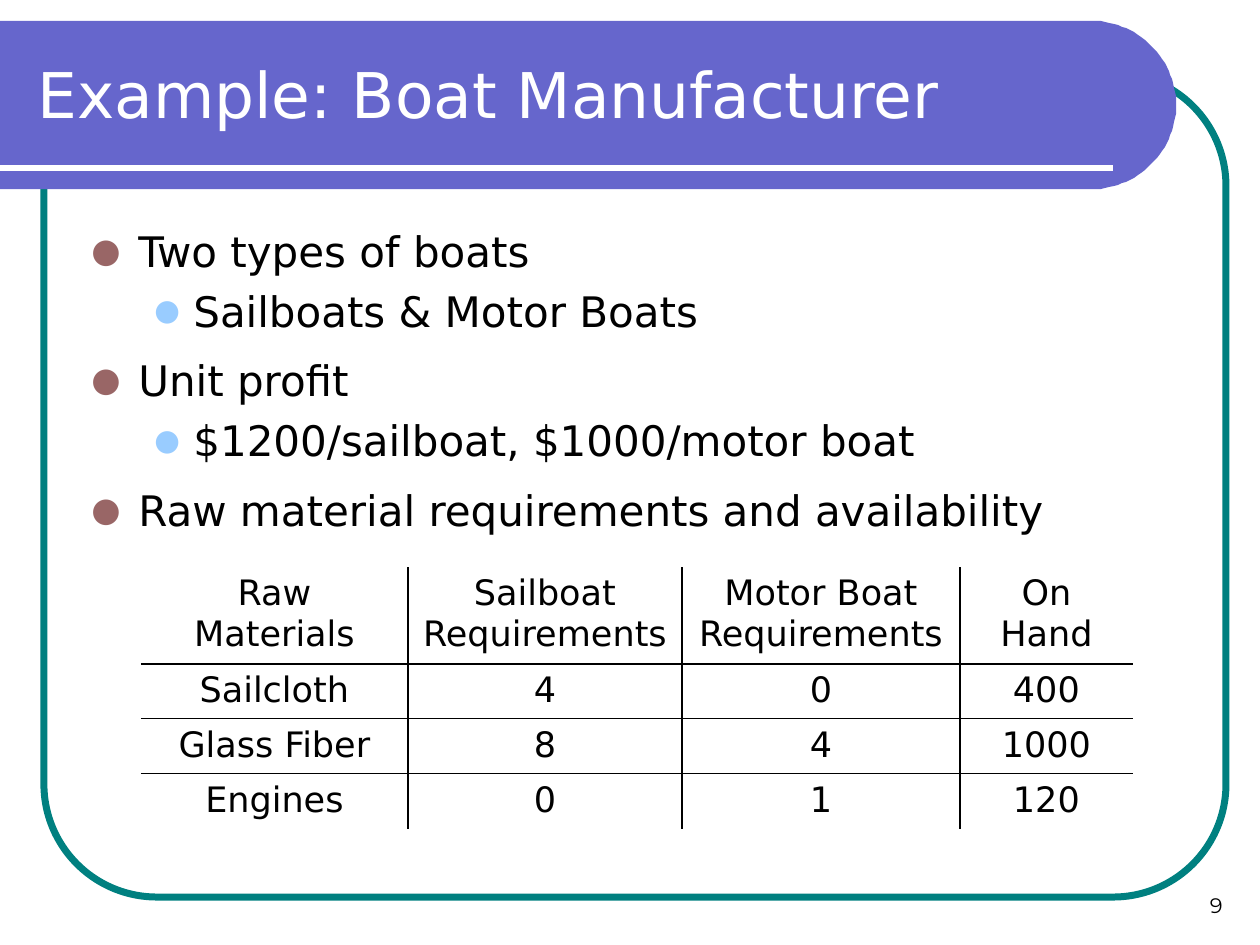
import math
from typing import NamedTuple, Optional

from lxml import etree
from pptx import Presentation, util as u
from pptx.dml.color import RGBColor
from pptx.enum import shapes, text
from pptx.oxml import ns

EMU_PER_PX = 914400 / 126
WHITE = RGBColor(0xFF, 0xFF, 0xFF)
BLACK = RGBColor(0, 0, 0)
TEAL = RGBColor(0, 0x80, 0x80)
VIOLET = RGBColor(0x66, 0x66, 0xCC)
MAROON = RGBColor(0x99, 0x66, 0x66)
SKY = RGBColor(0x99, 0xCC, 0xFF)
SANS, NUMBER_FONT = "DejaVu Sans", "Montserrat"


class Level(NamedTuple):
    margin: int
    hanging: int
    space: float
    color: RGBColor
    percent: int


class Bullet(NamedTuple):
    level: int
    words: str


LEVELS = [Level(47, 47, 11, MAROON, 80), Level(102, 39, 5.5, SKY, 70)]
BULLETS = [
    Bullet(0, "Two types of boats"),
    Bullet(1, "Sailboats & Motor Boats"),
    Bullet(0, "Unit profit"),
    Bullet(1, "$1200/sailboat, $1000/motor boat"),
    Bullet(0, "Raw material requirements and availability"),
]
MATERIALS = [
    ["Raw Materials", "Sailboat Requirements", "Motor Boat Requirements", "On Hand"],
    ["Sailcloth", "4", "0", "400"],
    ["Glass Fiber", "8", "4", "1000"],
    ["Engines", "0", "1", "120"],
]
COLUMN_WIDTHS = [267, 274, 278, 173]
ROW_HEIGHTS = [96, 55, 55, 55]


def px(*lengths: int) -> list[u.Emu]:
    return [u.Emu(round(length * EMU_PER_PX)) for length in lengths]


def add_span(para, words: str, size: int, color: RGBColor = BLACK, font: str = SANS) -> None:
    span = para.add_run()
    span.text = words
    span.font.name = font
    span.font.size = u.Pt(size)
    span.font.color.rgb = color


def add_child(parent, tag: str, **attributes: str):
    child = etree.SubElement(parent, ns.qn(tag))
    for name, value in attributes.items():
        child.set(name, value)
    return child


def draw_frame(page) -> None:
    frame = page.shapes.add_shape(shapes.MSO_SHAPE.ROUNDED_RECTANGLE, *px(44, 73, 1182, 824))
    frame.adjustments[0] = 0.137
    frame.shadow.inherit = False
    frame.fill.background()
    frame.line.color.rgb = TEAL
    frame.line.width = u.Pt(4)


def draw_banner(page) -> None:
    """Draw a bar with a half-round right end and a white rule across it."""
    left_top, center_x, center_y, radius, steps = (0, 21), 1092, 105, 84, 60
    builder = page.shapes.build_freeform(*left_top, scale=EMU_PER_PX)
    angles = [math.pi * (step / steps - 0.5) for step in range(steps + 1)]
    arc = [(center_x + radius * math.cos(a), center_y + radius * math.sin(a)) for a in angles]
    builder.add_line_segments([*arc, (0, center_y + radius)], close=True)
    banner = builder.convert_to_shape()
    banner.shadow.inherit = False
    banner.fill.solid()
    banner.fill.fore_color.rgb = VIOLET
    banner.line.fill.background()

    rule = page.shapes.add_connector(shapes.MSO_CONNECTOR.STRAIGHT, *px(0, 168, 1113, 168))
    rule.line.color.rgb = WHITE
    rule.line.width = u.Pt(3)
    add_child(rule.element.spPr, "a:effectLst")


def place_title(page, words: str) -> None:
    title = page.shapes.title
    title.element.getparent().append(title.element)  # bring in front of the banner
    title.left, title.top, title.width, title.height = px(25, 41, 990, 105)
    frame = title.text_frame
    frame.auto_size = text.MSO_AUTO_SIZE.NONE
    frame.vertical_anchor = text.MSO_ANCHOR.MIDDLE
    para = frame.paragraphs[0]
    para.alignment = text.PP_ALIGN.LEFT
    add_span(para, words, 36, WHITE)


def add_bullets(page, bullets: list[Bullet]) -> None:
    frame = page.shapes.add_textbox(*px(79, 219, 1071, 679)).text_frame
    frame.word_wrap = True
    for index, bullet in enumerate(bullets):
        para = frame.add_paragraph() if index else frame.paragraphs[0]
        level = LEVELS[bullet.level]
        para.level = bullet.level
        if index:
            para.space_before = u.Pt(level.space)
        margin, indent = px(level.margin, -level.hanging)
        props = para._p.get_or_add_pPr()
        props.set("marL", str(margin))
        props.set("indent", str(indent))
        add_child(add_child(props, "a:buClr"), "a:srgbClr", val=str(level.color))
        add_child(props, "a:buSzPct", val=str(level.percent * 1000))
        add_child(props, "a:buFont", typeface=SANS)
        add_child(props, "a:buChar", char="●")
        add_span(para, bullet.words, 24)


def set_borders(cell, widths: dict[str, Optional[float]]) -> None:
    """Set border widths in points by side, in the order L, R, T, B; None hides a side."""
    props = cell._tc.get_or_add_tcPr()
    for index, (side, width) in enumerate(widths.items()):
        line = etree.Element(ns.qn(f"a:ln{side}"))
        if width is None:
            add_child(line, "a:noFill")
        else:
            line.set("w", str(u.Pt(width)))
            add_child(add_child(line, "a:solidFill"), "a:srgbClr", val=str(BLACK))
        props.insert(index, line)


def add_materials_table(page) -> None:
    row_count, column_count = len(MATERIALS), len(COLUMN_WIDTHS)
    table = page.shapes.add_table(
        row_count, column_count, *px(141, 567, sum(COLUMN_WIDTHS), sum(ROW_HEIGHTS))
    ).table
    table.first_row = table.horz_banding = False
    for column, width in zip(table.columns, px(*COLUMN_WIDTHS)):
        column.width = width
    for row, height in zip(table.rows, px(*ROW_HEIGHTS)):
        row.height = height

    across = [None, 1.5, *[1] * (row_count - 2), None]
    down = [None, *[1] * (column_count - 1), None]
    for r, words_in_row in enumerate(MATERIALS):
        for c, words in enumerate(words_in_row):
            cell = table.cell(r, c)
            cell.fill.background()
            set_borders(cell, {"L": down[c], "R": down[c + 1], "T": across[r], "B": across[r + 1]})
            para = cell.text_frame.paragraphs[0]
            para.alignment = text.PP_ALIGN.CENTER
            add_span(para, words, 20)


def add_page_number(page, number: str) -> None:
    frame = page.shapes.add_textbox(*px(941, 861, 294, 63)).text_frame
    frame.word_wrap = True
    frame.vertical_anchor = text.MSO_ANCHOR.BOTTOM
    para = frame.paragraphs[0]
    para.alignment = text.PP_ALIGN.RIGHT
    add_span(para, number, 12, font=NUMBER_FONT)


def main() -> None:
    deck = Presentation()
    deck.slide_width, deck.slide_height = px(1260, 945)
    page = deck.slides.add_slide(deck.slide_layouts.get_by_name("Title Only"))
    draw_frame(page)
    draw_banner(page)
    add_page_number(page, "9")
    place_title(page, "Example: Boat Manufacturer")
    add_bullets(page, BULLETS)
    add_materials_table(page)
    deck.save("out.pptx")


if __name__ == "__main__":
    main()
